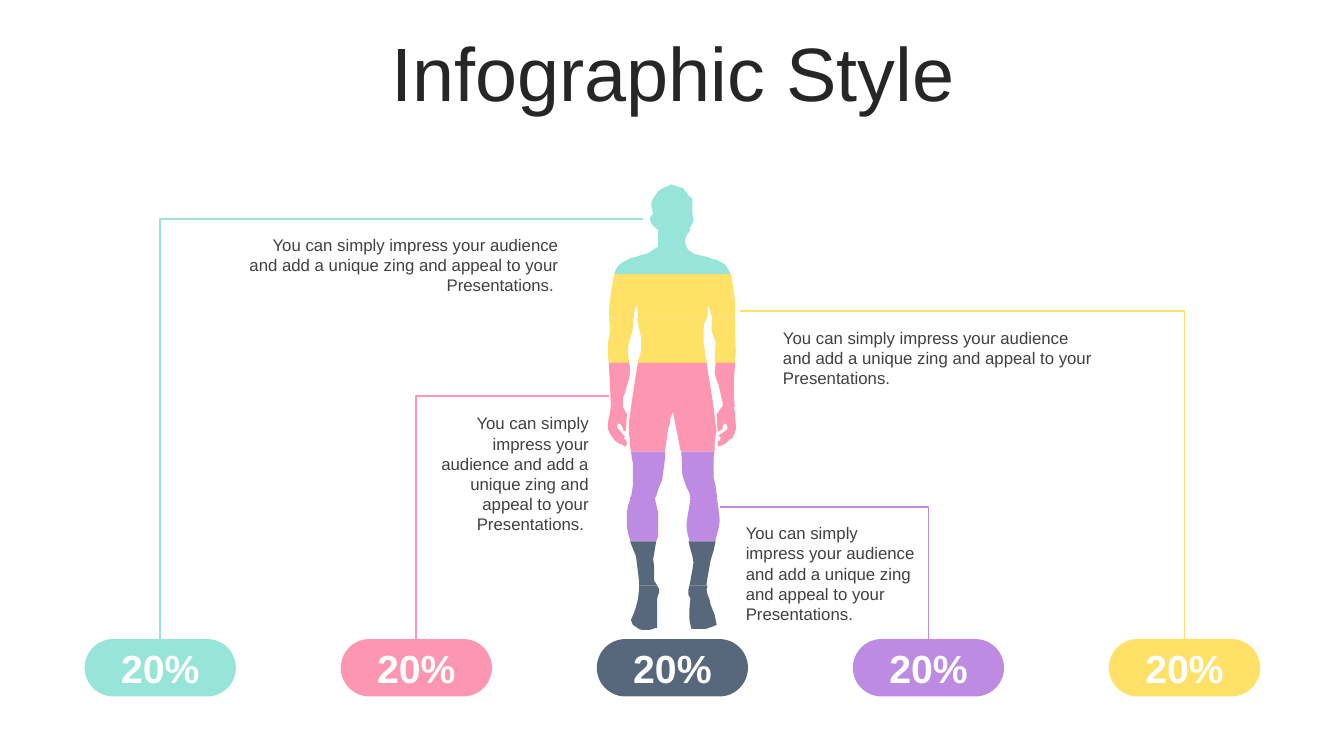
import pptx
import pptx.util
import pptx.dml.color
import pptx.enum.shapes
import pptx.enum.text
import lxml.etree

Pt = pptx.util.Pt
RGBColor = pptx.dml.color.RGBColor
ALIGN = pptx.enum.text.PP_ALIGN
ANCHOR = pptx.enum.text.MSO_ANCHOR

MINT = RGBColor(0x96, 0xE5, 0xD8)
PINK = RGBColor(0xFC, 0x96, 0xB2)
SLATE = RGBColor(0x57, 0x68, 0x7C)
PURPLE = RGBColor(0xBE, 0x8B, 0xE2)
YELLOW = RGBColor(0xFE, 0xE1, 0x66)
WHITE = RGBColor(0xFF, 0xFF, 0xFF)
TITLE_INK = RGBColor(0x26, 0x26, 0x26)
BODY_INK = RGBColor(0x40, 0x40, 0x40)

FONT = "Arial"
BODY_UNIT = Pt(0.72)
PILL_LEFT, PILL_TOP, PILL_WIDTH, PILL_HEIGHT, PILL_PITCH = 60.5, 456.5, 108, 41, 182.9
CAPTION = "You can simply impress your audience and add a unique zing and appeal to your Presentations."


def write(shape, text, size=12, color=BODY_INK, bold=False, align=ALIGN.LEFT,
          anchor=ANCHOR.TOP, line_spacing=None):
    frame = shape.text_frame
    frame.word_wrap = True
    frame.vertical_anchor = anchor
    para = frame.paragraphs[0]
    para.alignment = align
    para.line_spacing = line_spacing
    span = para.add_run()
    span.text = text
    span.font.name = FONT
    span.font.size = Pt(size)
    span.font.bold = bold
    span.font.color.rgb = color


deck = pptx.Presentation()
deck.slide_width = Pt(960)
deck.slide_height = Pt(540)
page = deck.slides.add_slide(deck.slide_layouts[6])

title = page.shapes.add_textbox(Pt(25.2), Pt(26.6), Pt(911.5), Pt(56.9))
write(title, "Infographic Style", size=54, color=TITLE_INK, align=ALIGN.CENTER,
      anchor=ANCHOR.MIDDLE, line_spacing=0.9)

head = [[(666, 183), (678, 187), (683, 194), (687, 197), (687, 213), (688, 216), (688, 219),
         (687, 222), (685, 225), (684, 227), (651, 227), (649, 225), (647, 223), (646, 221),
         (645, 218), (645, 216), (646, 214), (648, 212), (646, 203), (647, 199), (650, 194),
         (653, 190), (657, 187), (662, 185)]]
shoulders = [[(652, 227), (685, 227), (685, 228), (683, 231), (681, 234), (680, 237), (680, 241),
              (681, 245), (683, 248), (686, 250), (689, 252), (693, 253), (698, 254), (702, 255),
              (707, 257), (712, 258), (715, 260), (719, 262), (721, 265), (724, 270), (724, 272),
              (609, 272), (610, 270), (611, 267), (614, 263), (618, 260), (622, 258), (626, 256),
              (631, 255), (636, 253), (641, 252), (645, 250), (649, 247), (653, 245), (653, 229)]]
chest = [[(610, 272), (725, 272), (726, 276), (727, 283), (728, 290), (729, 297), (729, 316),
          (706, 316), (706, 314), (705, 309), (704, 306), (702, 303), (702, 314), (701, 316),
          (633, 316), (632, 302), (630, 306), (629, 311), (629, 316), (605, 316), (604, 311),
          (605, 298), (606, 292), (607, 285), (608, 279), (609, 274)]]
waist = [[(706, 316), (729, 316), (729, 327), (730, 349), (729, 360), (709, 360), (710, 339),
          (707, 331), (706, 327)],
         [(632, 316), (701, 316), (699, 320), (698, 326), (698, 339), (699, 346), (700, 353),
          (701, 358), (701, 360), (633, 360), (633, 358), (635, 353), (636, 347), (636, 335)],
         [(604, 316), (628, 316), (628, 325), (627, 330), (624, 340), (623, 346), (623, 352),
          (624, 358), (624, 360), (604, 360), (603, 351), (603, 341), (604, 336), (605, 331),
          (605, 321)]]
hips = [[(710, 360), (729, 360), (729, 364), (728, 379), (728, 394), (729, 404), (716, 404),
         (717, 403), (717, 400), (716, 396), (715, 391), (714, 387), (713, 382), (711, 377),
         (710, 374), (709, 370)],
        [(633, 360), (701, 360), (708, 404), (626, 404), (632, 364)],
        [(604, 360), (624, 360), (625, 364), (625, 370), (624, 376), (622, 382), (621, 386),
         (620, 390), (618, 394), (618, 404), (606, 404), (606, 400)]]
thighs = [[(716, 404), (728, 404), (729, 408), (730, 421), (730, 426), (729, 430), (727, 434),
           (723, 437), (720, 440), (716, 442), (712, 443), (712, 438), (714, 437), (715, 435),
           (715, 434), (713, 432), (716, 430), (719, 428), (722, 425), (721, 421), (719, 420),
           (718, 421), (717, 423), (717, 425), (715, 427), (712, 428), (711, 411)],
          [(626, 404), (708, 404), (710, 422), (711, 427), (710, 433), (709, 440), (709, 447),
           (708, 448), (676, 448), (675, 446), (668, 410), (667, 410), (665, 416), (665, 419),
           (663, 425), (662, 432), (661, 439), (660, 446), (660, 448), (626, 448), (625, 443),
           (625, 436), (624, 430), (624, 418), (625, 413)],
          [(606, 404), (618, 404), (622, 411), (621, 427), (619, 428), (618, 425), (616, 421),
           (613, 420), (612, 424), (615, 427), (618, 431), (621, 434), (619, 434), (619, 436),
           (621, 436), (622, 440), (621, 443), (620, 443), (617, 441), (614, 440), (611, 438),
           (609, 436), (607, 433), (605, 430), (603, 425), (603, 420), (604, 415), (605, 410)]]
knees = [[(676, 448), (709, 448), (708, 454), (708, 474), (710, 482), (711, 490), (712, 493),
          (685, 493), (684, 489), (681, 483), (679, 477), (677, 471)],
         [(626, 448), (660, 448), (660, 453), (659, 461), (658, 469), (657, 476), (654, 483),
          (652, 489), (651, 493), (626, 493), (627, 488), (628, 481), (628, 460), (627, 455)]]
calves = [[(684, 493), (711, 493), (712, 499), (713, 507), (714, 516), (713, 524), (710, 535),
           (710, 537), (684, 537), (682, 529), (681, 521), (682, 513), (685, 495)],
          [(625, 493), (650, 493), (650, 496), (653, 509), (653, 532), (651, 537), (626, 537),
           (625, 535), (623, 529), (622, 523), (622, 508), (623, 502), (625, 496)]]
ankles = [[(683, 537), (710, 537), (708, 546), (705, 556), (703, 567), (701, 579), (701, 581),
           (684, 581), (685, 576), (686, 570), (687, 565), (688, 558), (687, 552), (685, 545)],
          [(625, 537), (651, 537), (650, 543), (649, 549), (648, 555), (649, 562), (649, 576),
           (652, 581), (634, 581), (634, 577), (633, 568), (632, 560), (631, 552), (629, 547),
           (627, 542)]]
feet = [[(684, 581), (702, 581), (701, 585), (702, 590), (704, 595), (705, 600), (707, 605),
         (709, 610), (710, 615), (711, 620), (706, 622), (700, 624), (686, 624), (685, 620),
         (684, 615), (684, 604), (685, 594), (683, 590), (683, 585)],
        [(634, 581), (652, 581), (654, 585), (654, 588), (653, 590), (652, 594), (652, 623),
         (650, 623), (648, 624), (644, 625), (637, 625), (634, 624), (631, 622), (628, 620),
         (627, 618), (626, 615), (629, 608), (631, 602), (633, 594), (634, 585)]]

figure = page.shapes.add_group_shape()
for outlines, color in [(head, MINT), (shoulders, MINT), (chest, YELLOW), (waist, YELLOW),
                        (hips, PINK), (thighs, PINK), (knees, PURPLE), (calves, PURPLE),
                        (ankles, SLATE), (feet, SLATE)]:
    builder = figure.shapes.build_freeform(*outlines[0][0], scale=BODY_UNIT)
    for number, outline in enumerate(outlines):
        if number:
            builder.move_to(*outline[0])
        builder.add_line_segments(outline[1:], close=True)
    part = builder.convert_to_shape()
    part.shadow.inherit = False
    part.fill.solid()
    part.fill.fore_color.rgb = color
    part.line.fill.background()

for column, color in enumerate([MINT, PINK, SLATE, PURPLE, YELLOW]):
    pill = page.shapes.add_shape(
        pptx.enum.shapes.MSO_SHAPE.ROUNDED_RECTANGLE, Pt(PILL_LEFT + column * PILL_PITCH),
        Pt(PILL_TOP), Pt(PILL_WIDTH), Pt(PILL_HEIGHT))
    pill.adjustments[0] = 0.5
    pill.shadow.inherit = False
    pill.fill.solid()
    pill.fill.fore_color.rgb = color
    pill.line.fill.background()
    write(pill, "20%", size=28, color=WHITE, bold=True, align=ALIGN.CENTER, anchor=ANCHOR.MIDDLE)

for column, left, top, color in [(0, 459.5, 156.4, MINT), (1, 434.9, 283.1, PINK),
                                 (4, 528.6, 222.3, YELLOW), (3, 514, 362.3, PURPLE)]:
    pill_center = PILL_LEFT + column * PILL_PITCH + PILL_WIDTH / 2
    leader = page.shapes.add_connector(
        pptx.enum.shapes.MSO_CONNECTOR.ELBOW, Pt(left), Pt(top), Pt(pill_center), Pt(PILL_TOP))
    leader.line.color.rgb = color
    leader.line.width = Pt(1.25)
    properties = leader._element.spPr
    properties.find(pptx.oxml.ns.qn("a:prstGeom")).set("prst", "bentConnector2")
    lxml.etree.SubElement(properties, pptx.oxml.ns.qn("a:effectLst"))

for left, top, width, height, text, align in [
        (166.3, 164.2, 239.8, 51, CAPTION + " ", ALIGN.RIGHT),
        (303.1, 291.6, 124.6, 94.5, CAPTION + " ", ALIGN.RIGHT),
        (525.6, 370.1, 137.5, 80, CAPTION, ALIGN.LEFT),
        (552.2, 230.4, 239.8, 51, CAPTION, ALIGN.LEFT)]:
    box = page.shapes.add_textbox(Pt(left), Pt(top), Pt(width), Pt(height))
    write(box, text, align=align)

deck.save("out.pptx")
